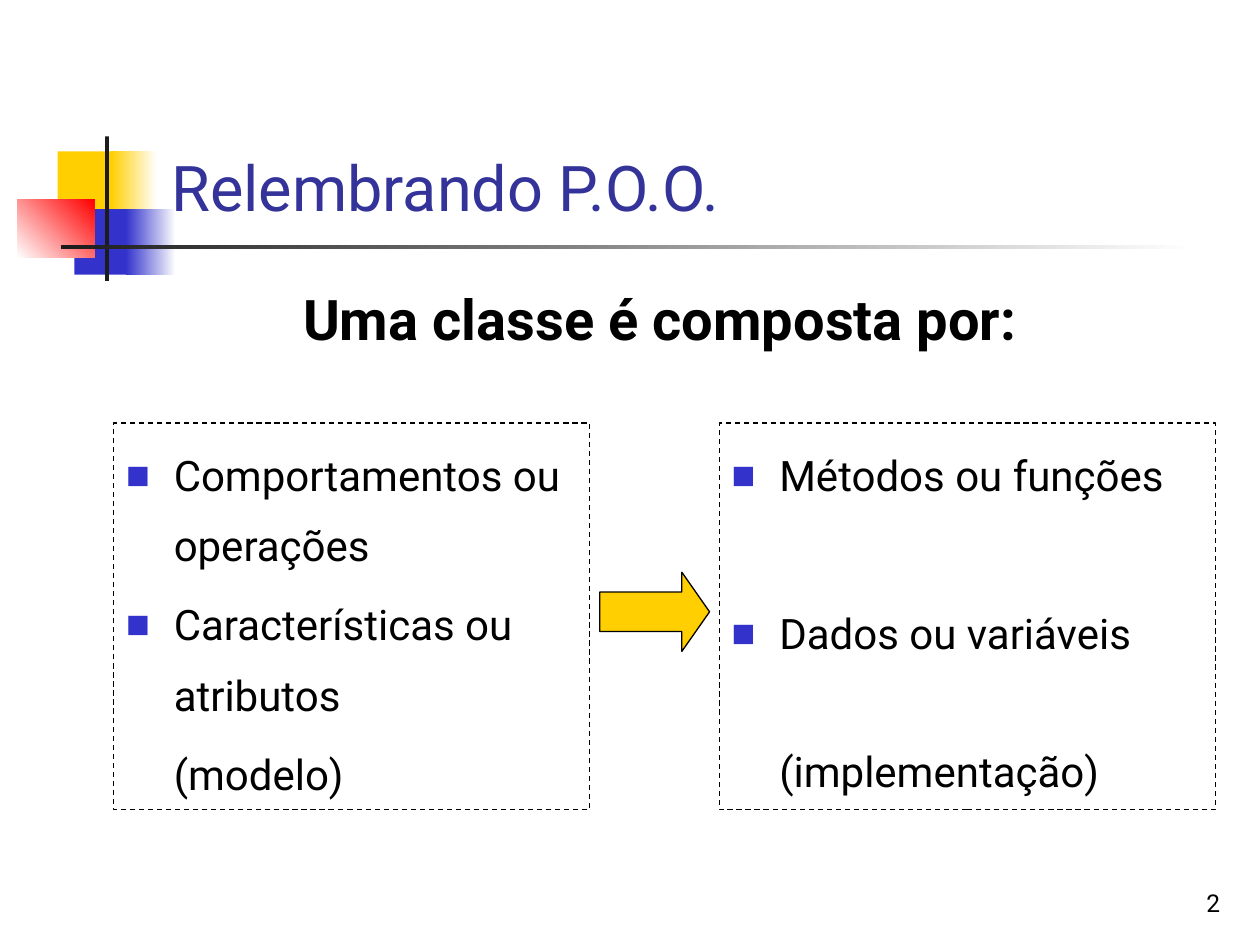
import pptx
import pptx.util
import pptx.dml.color
import pptx.enum.dml
import pptx.enum.shapes
import pptx.enum.text
import lxml.etree

Pt = pptx.util.Pt
RGBColor = pptx.dml.color.RGBColor
PRESET = pptx.enum.shapes.MSO_SHAPE
ALIGN = pptx.enum.text.PP_ALIGN
ANCHOR = pptx.enum.text.MSO_ANCHOR

BLACK = RGBColor(0x00, 0x00, 0x00)
WHITE = RGBColor(0xFF, 0xFF, 0xFF)
CHARCOAL = RGBColor(0x1C, 0x1C, 0x1C)
YELLOW = RGBColor(0xFF, 0xCF, 0x01)
BLUE = RGBColor(0x33, 0x33, 0xCC)
RED = RGBColor(0xFF, 0x00, 0x00)
INDIGO = RGBColor(0x33, 0x33, 0x99)

FONT = "Roboto"
HANG = 27.25
DRAWING = "http://schemas.openxmlformats.org/drawingml/2006/main"

deck = pptx.Presentation()
deck.slide_width, deck.slide_height = Pt(720), Pt(540)
slide = deck.slides.add_slide(deck.slide_layouts[1])


def add_block(preset, place, colors, angle=0, outline=None):
    """Add a shape with no fill, one fill colour or a two-colour gradient."""
    block = slide.shapes.add_shape(preset, *map(Pt, place))
    block.shadow.inherit = False
    if not colors:
        block.fill.background()
    elif len(colors) == 1:
        block.fill.solid()
        block.fill.fore_color.rgb = colors[0]
    else:
        block.fill.gradient()
        block.fill.gradient_angle = angle
        for stop, color, position in zip(block.fill.gradient_stops, colors, (0, 1)):
            stop.color.rgb = color
            stop.position = position
    if outline:
        block.line.color.rgb = outline
        block.line.width = Pt(0.75)
    else:
        block.line.fill.background()
    return block


def write(para, text, size, color=BLACK, bold=False, bullet=None, indent=0, **layout):
    """Write one formatted paragraph, with or without a square bullet."""
    for name, value in layout.items():
        setattr(para, name, value)
    span = para.add_run()
    span.text = text
    for name, value in {"name": FONT, "size": Pt(size), "bold": bold}.items():
        setattr(span.font, name, value)
    span.font.color.rgb = color
    properties = para._p.get_or_add_pPr()
    properties.set("marL", str(Pt(indent)))
    properties.set("indent", str(Pt(-indent if bullet else 0)))
    if not bullet:
        lxml.etree.SubElement(properties, f"{{{DRAWING}}}buNone")
        return
    bullet_color = lxml.etree.SubElement(properties, f"{{{DRAWING}}}buClr")
    lxml.etree.SubElement(bullet_color, f"{{{DRAWING}}}srgbClr", val=str(BLUE))
    lxml.etree.SubElement(properties, f"{{{DRAWING}}}buSzPct", val="60000")
    lxml.etree.SubElement(properties, f"{{{DRAWING}}}buFont", typeface=FONT)
    lxml.etree.SubElement(properties, f"{{{DRAWING}}}buChar", char=bullet)


# Corner ornament and rule under the title
ornament = [
    ((33, 86.5, 34.5, 37.5), [YELLOW], 0),
    ((63.5, 86.5, 26, 37.5), [YELLOW, WHITE], 0),
    ((42.5, 119.5, 33, 37.5), [BLUE], 0),
    ((72, 119.5, 28.5, 37.5), [BLUE, WHITE], 0),
    ((10, 113.75, 44, 33.5), [WHITE, RED], 45),
    ((60, 78, 2.25, 82.5), [CHARCOAL], 0),
    ((35, 140, 648, 2.5), [CHARCOAL, WHITE], 0),
]
for place, colors, angle in ornament:
    add_block(PRESET.RECTANGLE, place, colors, angle)

# Title, heading and page number
title, heading = slide.placeholders
page_number = slide.shapes.add_textbox(0, 0, 0, 0)
texts = [
    (title, (90.75, 16.5, 613.5, 115.25), ANCHOR.BOTTOM, "Relembrando P.O.O.",
     {"size": 36, "color": INDIGO, "alignment": ALIGN.LEFT}),
    (heading, (71.25, 159, 612, 55.5), ANCHOR.TOP, "Uma classe é composta por:",
     {"size": 32, "bold": True, "alignment": ALIGN.CENTER, "space_before": Pt(6.4)}),
    (page_number, (554.5, 492, 149.75, 36), ANCHOR.BOTTOM, "2",
     {"size": 14, "alignment": ALIGN.RIGHT}),
]
for box, place, anchor, text, style in texts:
    for name, value in zip(("left", "top", "width", "height"), place):
        setattr(box, name, Pt(value))
    frame = box.text_frame
    frame.word_wrap = True
    frame.auto_size = pptx.enum.text.MSO_AUTO_SIZE.NONE
    frame.vertical_anchor = anchor
    write(frame.paragraphs[0], text, **style)

# Dashed lists: text, bullet, space before
columns = [
    (65, 272, [("Comportamentos ou operações", "■", 4.8),
               ("Características ou atributos", "■", 4.8),
               ("(modelo)", None, 4.8)]),
    (411, 283.5, [("Métodos ou funções", "■", 4.8),
                  ("Dados ou variáveis", "■", 50),
                  ("(implementação)", None, 38.75)]),
]
for left, width, items in columns:
    box = add_block(PRESET.RECTANGLE, (left, 241.75, width, 221), [], outline=BLACK)
    box.line.dash_style = pptx.enum.dml.MSO_LINE.DASH
    frame = box.text_frame
    frame.word_wrap = True
    frame.vertical_anchor = ANCHOR.TOP
    for index, (text, bullet, gap) in enumerate(items):
        para = frame.add_paragraph() if index else frame.paragraphs[0]
        write(para, text, 24, bullet=bullet, indent=HANG, alignment=ALIGN.LEFT,
              line_spacing=1.4, space_before=Pt(gap))

# Arrow between the lists
arrow = add_block(PRESET.RIGHT_ARROW, (342.75, 327, 62.75, 45.25), [YELLOW], outline=BLACK)
arrow.adjustments[0] = 0.5
arrow.adjustments[1] = 0.35

deck.save("out.pptx")
